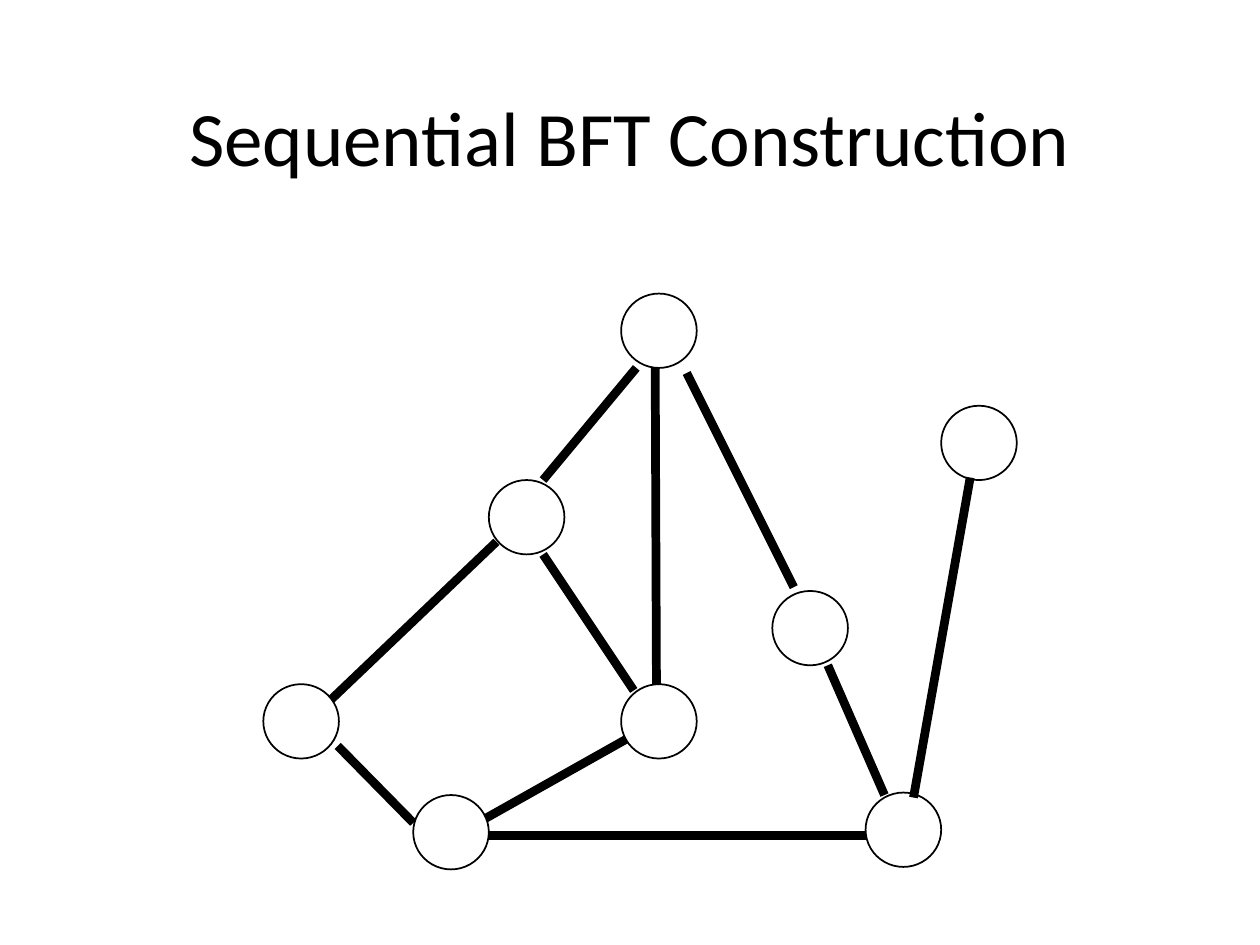
from pptx import Presentation
from pptx.dml.color import RGBColor
from pptx.enum.shapes import MSO_CONNECTOR as Connector, MSO_SHAPE as Shape
from pptx.enum.text import MSO_ANCHOR as Anchor, PP_ALIGN as Align
from pptx.oxml.ns import qn
from pptx.util import Inches, Pt
from lxml import etree

BLACK = RGBColor(0, 0, 0)
WHITE = RGBColor(255, 255, 255)

COLUMNS, ROWS = 100, 75
NODE_SIZE = (6, 5.9)

# Left and top of each node, in columns and rows
UPPER_NODES = [
    (49.3, 23.3), (61.3, 46.9), (74.7, 32.2),
    (68.7, 62.9), (38.8, 38.1), (20.9, 54.3),
]
LOWER_NODES = [(49.3, 54.3), (32.8, 63.1)]

# Start and end of each edge, in columns and rows
EDGES = [
    ((50.5, 29.2), (43.1, 38.1)),
    ((52, 29.2), (52.1, 54.3)),
    ((50, 58.5), (38.1, 65.2)),
    ((26.8, 59.2), (32.8, 65.3)),
    ((39.4, 43), (26.3, 55.5)),
    ((77, 37.9), (72.5, 63.3)),
    ((63, 46.6), (54.5, 29.6)),
    ((65.7, 52.8), (70.2, 63.1)),
    ((38.8, 66.3), (68.7, 66.3)),
]
TOP_EDGE = ((43.1, 44), (50.3, 54.8))


class GraphSlide:
    font_name = "Calibri"
    title_size = Pt(44)
    outline_width = Pt(1)
    edge_width = Pt(5)

    def __init__(self, presentation):
        self.column = presentation.slide_width / COLUMNS
        self.row = presentation.slide_height / ROWS
        self.slide = presentation.slides.add_slide(presentation.slide_layouts[5])

    def place(self, column, row):
        """Turn a grid position or size into slide lengths."""
        return round(column * self.column), round(row * self.row)

    def title(self, text, position, size):
        shape = self.slide.shapes.title
        shape.left, shape.top = self.place(*position)
        shape.width, shape.height = self.place(*size)
        shape.text_frame.text = text
        shape.text_frame.vertical_anchor = Anchor.MIDDLE
        paragraph = shape.text_frame.paragraphs[0]
        paragraph.alignment = Align.CENTER
        font = paragraph.runs[0].font
        font.name, font.size = self.font_name, self.title_size
        font.color.rgb = BLACK

    def node(self, position):
        shape = self.slide.shapes.add_shape(
            Shape.OVAL, *self.place(*position), *self.place(*NODE_SIZE))
        shape.shadow.inherit = False
        shape.fill.solid()
        shape.fill.fore_color.rgb = WHITE
        shape.line.color.rgb = BLACK
        shape.line.width = self.outline_width

    def edge(self, start, end):
        connector = self.slide.shapes.add_connector(
            Connector.STRAIGHT, *self.place(*start), *self.place(*end))
        connector.line.color.rgb = BLACK
        connector.line.width = self.edge_width
        etree.SubElement(connector._element.spPr, qn("a:effectLst"))


def main():
    presentation = Presentation()
    presentation.slide_width, presentation.slide_height = Inches(10), Inches(7.5)

    graph = GraphSlide(presentation)
    graph.title("Sequential BFT Construction", (5, 4.5), (90, 12.5))
    for position in UPPER_NODES:
        graph.node(position)
    for start, end in EDGES:
        graph.edge(start, end)
    for position in LOWER_NODES:
        graph.node(position)
    graph.edge(*TOP_EDGE)

    presentation.save("out.pptx")


if __name__ == "__main__":
    main()
